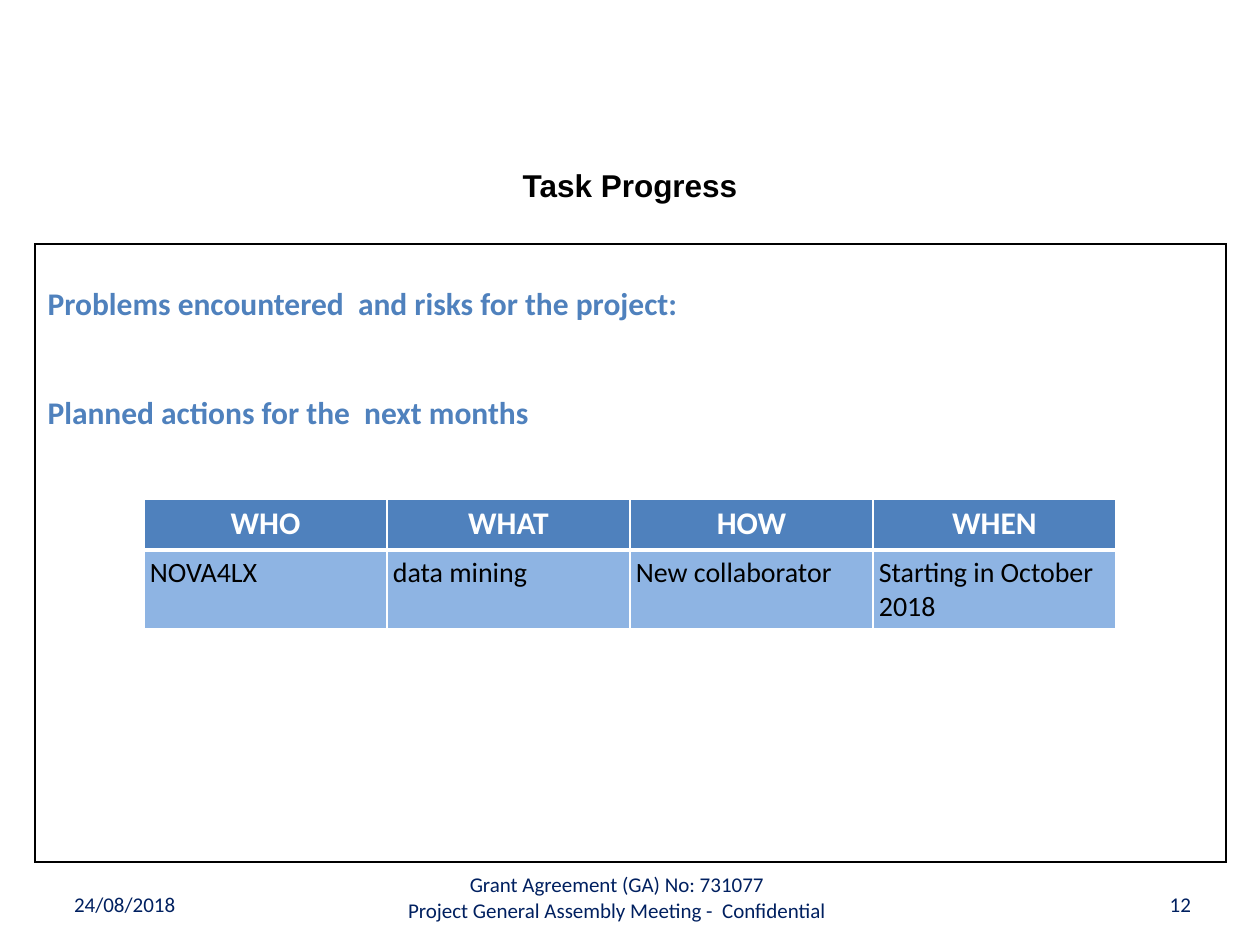
"""Build the task progress slide with its framed notes, action table and footer."""
from dataclasses import dataclass

from lxml import etree
from pptx import Presentation
from pptx.dml.color import RGBColor
from pptx.enum.text import MSO_ANCHOR, PP_ALIGN
from pptx.oxml.ns import qn
from pptx.util import Emu, Pt

LEFT, CENTER, RIGHT = PP_ALIGN.LEFT, PP_ALIGN.CENTER, PP_ALIGN.RIGHT
TOP, MIDDLE = MSO_ANCHOR.TOP, MSO_ANCHOR.MIDDLE
BLACK = RGBColor(0x00, 0x00, 0x00)
WHITE = RGBColor(0xFF, 0xFF, 0xFF)
NAVY = RGBColor(0x00, 0x20, 0x60)
BLUE = RGBColor(0x4F, 0x81, 0xBD)
PALE_BLUE = RGBColor(0x8E, 0xB4, 0xE3)
EMU_PER_PX = 914400 / 126
PADDING = 6
THIN, THICK = 0.96, 3


def px(length: int) -> Emu:
    """Turn pixels into EMU."""
    return Emu(round(length * EMU_PER_PX))


@dataclass(frozen=True)
class Style:
    """Look of a paragraph."""
    size: int
    color: RGBColor
    bold: bool = False
    align: PP_ALIGN = LEFT
    font: str = "Calibri"


@dataclass(frozen=True)
class Label:
    """Free text with its place."""
    lines: tuple[str, ...]
    left: int
    top: int
    width: int
    height: int
    style: Style
    anchor: MSO_ANCHOR = MIDDLE


@dataclass(frozen=True)
class Row:
    """Table row with its look."""
    texts: tuple[str, ...]
    height: int
    style: Style
    fill: RGBColor
    borders: dict[str, float]


LABELS = (
    Label(("Grant Agreement (GA) No: 731077",
           "Project General Assembly Meeting -  Confidential"),
          302, 866, 630, 63, Style(12, NAVY, align=CENTER), TOP),
    Label(("Task Progress",), 243, 145, 774, 79, Style(18, BLACK, True, CENTER, "Arial")),
    Label(("12",), 1159, 886, 38, 37, Style(12, NAVY, align=RIGHT)),
    Label(("24/08/2018",), 68, 885, 294, 38, Style(12, NAVY)),
)
HEADINGS = ("Problems encountered  and risks for the project:",
            "Planned actions for the  next months")
ACTIONS = (
    Row(("WHO", "WHAT", "HOW", "WHEN"), 51, Style(18, WHITE, True, CENTER), BLUE,
        {"L": THIN, "R": THIN, "T": THIN, "B": THICK}),
    Row(("NOVA4LX", "data mining", "New collaborator", "Starting in October 2018"),
        78, Style(16, BLACK), PALE_BLUE, {"L": THIN, "R": THIN, "T": THICK, "B": THIN}),
)


def set_all(target, values: dict) -> None:
    """Set every named attribute."""
    for name, value in values.items():
        setattr(target, name, value)


def write(frame, lines: tuple[str, ...], style: Style, gap: int = 0) -> None:
    """Write one paragraph per line, with a gap in points between them."""
    for index, line in enumerate(lines):
        para = frame.add_paragraph() if index else frame.paragraphs[0]
        set_all(para, {"alignment": style.align, "space_before": Pt(gap if index else 0)})
        span = para.add_run()
        span.text = line
        set_all(span.font, {"name": style.font, "size": Pt(style.size), "bold": style.bold})
        span.font.color.rgb = style.color


def add_label(page, label: Label) -> None:
    """Add a text box."""
    box = page.shapes.add_textbox(*map(px, (label.left, label.top, label.width, label.height)))
    margins = {f"margin_{side}": px(PADDING) for side in ("left", "top", "right", "bottom")}
    set_all(box.text_frame, margins | {"word_wrap": True, "vertical_anchor": label.anchor})
    write(box.text_frame, label.lines, label.style)


def add_grid(page, left: int, top: int, column: int, columns: int, heights: tuple[int, ...]):
    """Add a table without banding."""
    grid = page.shapes.add_table(len(heights), columns, px(left), px(top),
                                 px(column * columns), px(sum(heights))).table
    set_all(grid, {"first_row": False, "horz_banding": False})
    for row, height in zip(grid.rows, heights):
        row.height = px(height)
    return grid


def set_borders(cell, color: RGBColor, widths: dict[str, float]) -> None:
    """Draw the cell edges, placed ahead of the fill."""
    properties = cell._tc.get_or_add_tcPr()
    for index, (side, width) in enumerate(widths.items()):
        line = etree.Element(qn(f"a:ln{side}"), w=str(int(Pt(width))))
        solid = etree.SubElement(line, qn("a:solidFill"))
        etree.SubElement(solid, qn("a:srgbClr"), val=str(color))
        properties.insert(index, line)


def add_notes(page) -> None:
    """Add the framed headings."""
    cell = add_grid(page, 35, 244, 1191, 1, (618,)).cell(0, 0)
    cell.fill.background()
    cell.margin_top = px(42)
    write(cell.text_frame, HEADINGS, Style(18, BLUE, True), 40)
    set_borders(cell, BLACK, dict.fromkeys("LRTB", THIN))


def add_actions(page) -> None:
    """Add the table of planned actions."""
    grid = add_grid(page, 144, 499, 243, 4, tuple(row.height for row in ACTIONS))
    margins = {f"margin_{side}": px(PADDING) for side in ("left", "top", "right", "bottom")}
    for row_index, row in enumerate(ACTIONS):
        for column_index, text in enumerate(row.texts):
            cell = grid.cell(row_index, column_index)
            set_all(cell, margins)
            cell.fill.solid()
            cell.fill.fore_color.rgb = row.fill
            write(cell.text_frame, (text,), row.style)
            set_borders(cell, WHITE, row.borders)


def main() -> None:
    """Build and save the deck."""
    deck = Presentation()
    set_all(deck, {"slide_width": px(1260), "slide_height": px(945)})
    page = deck.slides.add_slide(deck.slide_layouts[6])
    add_notes(page)
    for label in LABELS:
        add_label(page, label)
    add_actions(page)
    deck.save("out.pptx")


if __name__ == "__main__":
    main()
